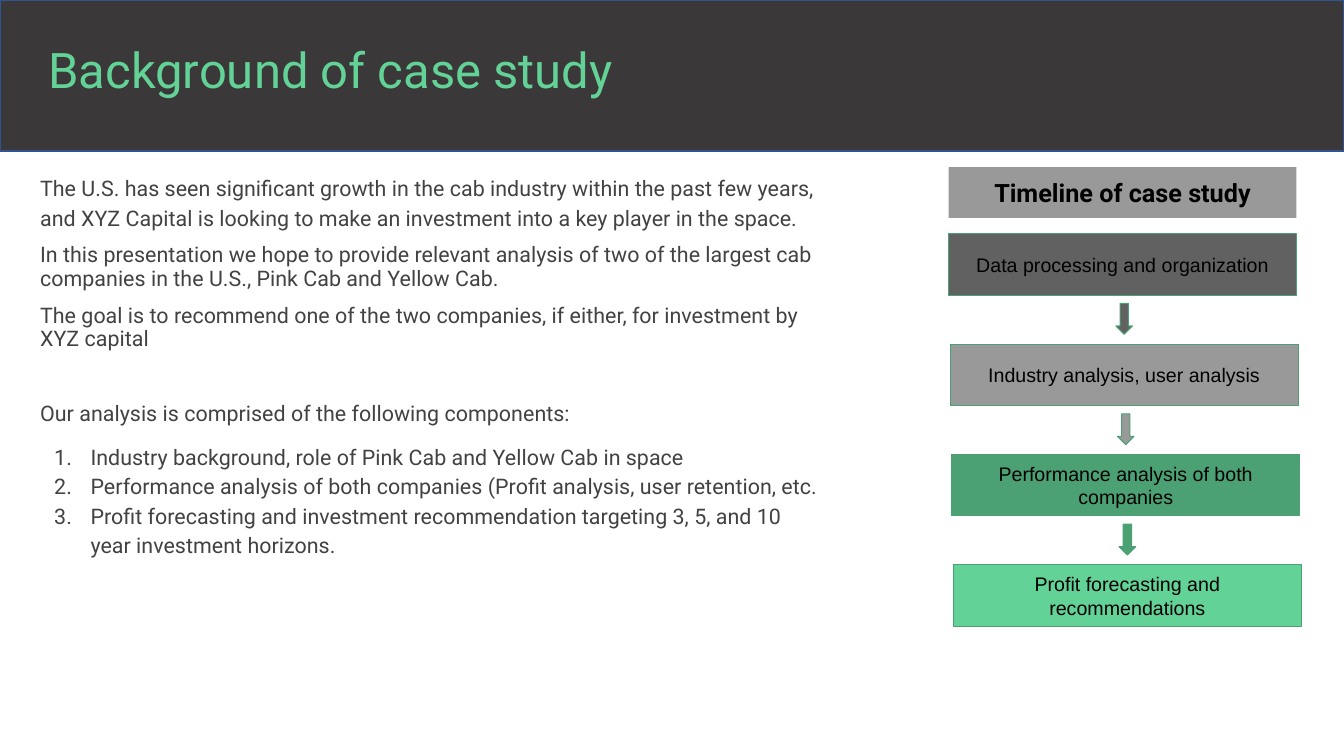
from pptx import Presentation
from pptx.dml.color import RGBColor
from pptx.enum import shapes, text
from pptx.oxml import parse_xml
from pptx.oxml.ns import nsdecls
from pptx.util import Pt

# Content
TITLE = "Background of case study"
# Each paragraph: words, line spacing, space before
BACKGROUND = [
    ("The U.S. has seen significant growth in the cab industry within the past few years, "
     "and XYZ Capital is looking to make an investment into a key player in the space.", 1.15, 0),
    ("In this presentation we hope to provide relevant analysis of two of the largest cab "
     "companies in the U.S., Pink Cab and Yellow Cab.", 0.9, 10),
    ("The goal is to recommend one of the two companies, if either, for investment by "
     "XYZ capital", 0.9, 10),
    ("Our analysis is comprised of the following components:", 0.9, 37),
]
COMPONENTS = [
    "Industry background, role of Pink Cab and Yellow Cab in space",
    "Performance analysis of both companies (Profit analysis, user retention, etc.",
    "Profit forecasting and investment recommendation targeting 3, 5, and 10 year "
    "investment horizons.",
]
TIMELINE_HEADING = "Timeline of case study"
STAGES = [
    ("Data processing and organization", "616161"),
    ("Industry analysis, user analysis", "999999"),
    ("Performance analysis of both companies", "4BA173"),
    ("Profit forecasting and recommendations", "63D297"),
]
GREEN, BLACK, BODY_GREY = "4BA173", "000000", "424242"

# Timeline layout: each stage steps down and slightly right
STAGE_X, STAGE_Y, STAGE_W, STAGE_H = 677.6, 167, 248.5, 43.8
STEP_X, STEP_Y = 1.15, 78.8
ARROW_DX, ARROW_DY, ARROW_W, ARROW_H = 119.5, 49.8, 11.8, 22

prs = Presentation()
prs.slide_width, prs.slide_height = Pt(960), Pt(540)
slide = prs.slides.add_slide(prs.slide_layouts[6])


def colour(hex_code):
    return RGBColor.from_string(hex_code)


def add_block(kind, box, fill, line=None, line_width=0.75):
    block = slide.shapes.add_shape(kind, *map(Pt, box))
    block.shadow.inherit = False
    block.fill.solid()
    block.fill.fore_color.rgb = colour(fill)
    if line:
        block.line.color.rgb = colour(line)
        block.line.width = Pt(line_width)
    else:
        block.line.fill.background()
    return block


def set_frame(frame, anchor, side, top):
    frame.word_wrap = True
    frame.vertical_anchor = anchor
    frame.margin_left = frame.margin_right = Pt(side)
    frame.margin_top = frame.margin_bottom = Pt(top)


def write(paragraph, words, size, font, hex_code, bold=False):
    run = paragraph.add_run()
    run.text = words
    run.font.size, run.font.name, run.font.bold = Pt(size), font, bold
    run.font.color.rgb = colour(hex_code)


def add_text_box(box, anchor):
    frame = slide.shapes.add_textbox(*map(Pt, box)).text_frame
    set_frame(frame, anchor, 7.2, 3.6)
    return frame


def label(block, words, size, font, anchor, bold=False):
    set_frame(block.text_frame, anchor, 7.2, 7.2)
    paragraph = block.text_frame.paragraphs[0]
    paragraph.alignment = text.PP_ALIGN.CENTER
    write(paragraph, words, size, font, BLACK, bold)


def number(paragraph):
    props = paragraph._p.get_or_add_pPr()
    props.set("marL", str(Pt(36)))
    props.set("indent", str(Pt(-25.9)))
    for xml in (
        f'<a:buClr {nsdecls("a")}><a:srgbClr val="{BODY_GREY}"/></a:buClr>',
        f'<a:buFont {nsdecls("a")} typeface="Roboto"/>',
        f'<a:buAutoNum {nsdecls("a")} type="arabicPeriod"/>',
    ):
        props.append(parse_xml(xml))


# Background and components
body = add_text_box((21.6, 118.8, 573.8, 342.7), text.MSO_ANCHOR.TOP)
components = [(words, 1.15, 0 if i else 10) for i, words in enumerate(COMPONENTS)]
for i, (words, spacing, before) in enumerate(BACKGROUND + components):
    paragraph = body.add_paragraph() if i else body.paragraphs[0]
    paragraph.line_spacing, paragraph.space_before = spacing, Pt(before)
    write(paragraph, words, 15.3, "Roboto", BODY_GREY)
    if i >= len(BACKGROUND):
        number(paragraph)

# Title band
add_block(shapes.MSO_SHAPE.RECTANGLE, (0, 0, 960, 108), "3A3838", "31538F", 1)
title = add_text_box((27.4, 0, 828, 104.4), text.MSO_ANCHOR.MIDDLE).paragraphs[0]
title.line_spacing = 0.9
write(title, TITLE, 35, "Roboto", "63D297")

# Timeline
heading = add_block(shapes.MSO_SHAPE.RECTANGLE, (STAGE_X, 119.4, STAGE_W, 36.2), "999999")
label(heading, TIMELINE_HEADING, 18, "Roboto", text.MSO_ANCHOR.TOP, bold=True)

for i, (words, fill) in enumerate(STAGES):
    x, y = STAGE_X + i * STEP_X, STAGE_Y + i * STEP_Y
    stage = add_block(shapes.MSO_SHAPE.RECTANGLE, (x, y, STAGE_W, STAGE_H), fill, GREEN)
    label(stage, words, 14, "Arial", text.MSO_ANCHOR.MIDDLE)
    if i < len(STAGES) - 1:
        add_block(shapes.MSO_SHAPE.DOWN_ARROW,
                  (x + ARROW_DX, y + ARROW_DY, ARROW_W, ARROW_H), fill, GREEN)

prs.save("out.pptx")
